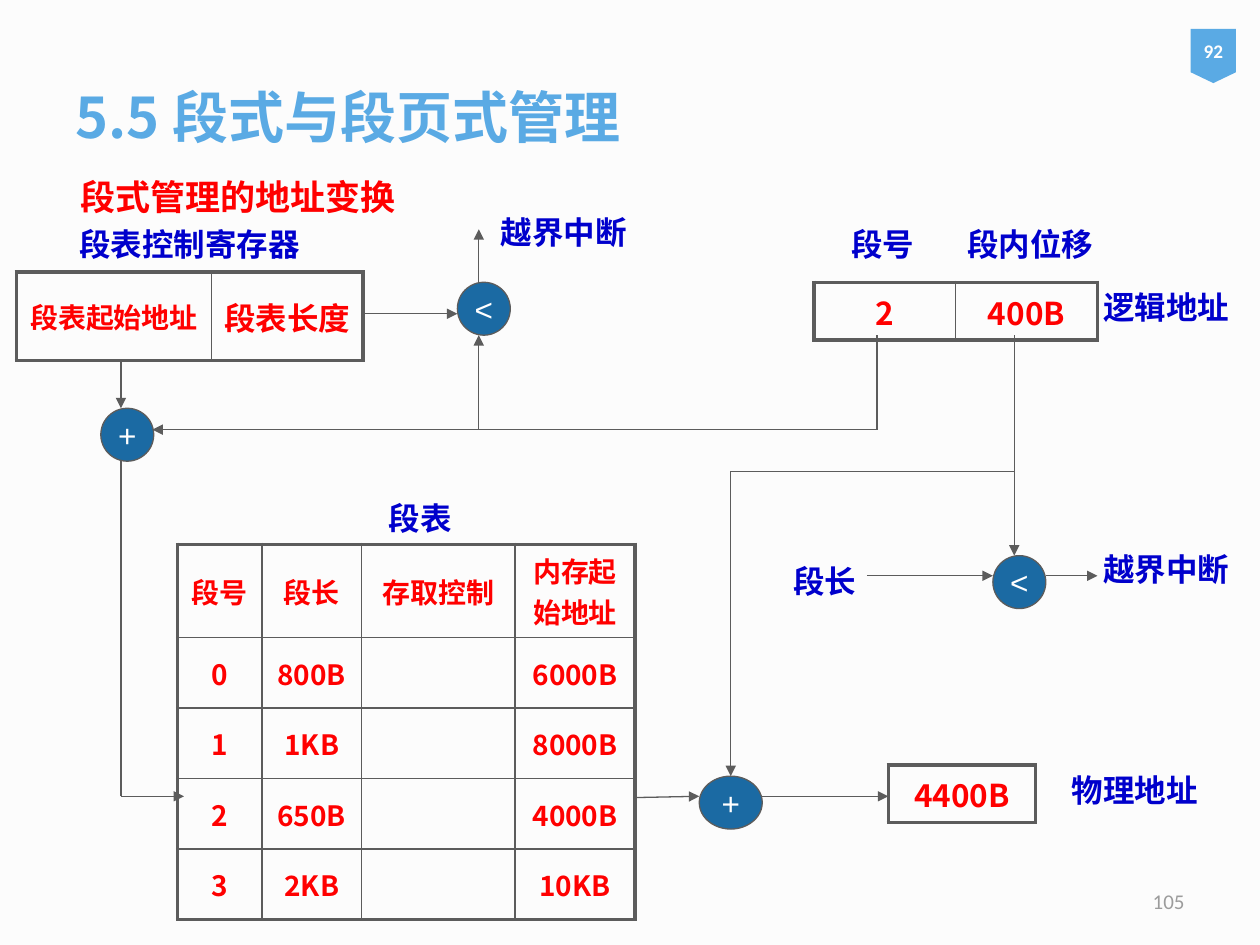
import pptx
import pptx.util
import pptx.dml.color
import pptx.enum.shapes
import pptx.enum.text
import pptx.oxml.ns
from lxml import etree

Inches = pptx.util.Inches
Pt = pptx.util.Pt
RGBColor = pptx.dml.color.RGBColor
SHAPE = pptx.enum.shapes.MSO_SHAPE
ALIGN = pptx.enum.text.PP_ALIGN
ANCHOR = pptx.enum.text.MSO_ANCHOR
AUTO_SIZE = pptx.enum.text.MSO_AUTO_SIZE
qn = pptx.oxml.ns.qn

PAPER = RGBColor(0xFC, 0xFC, 0xFC)
SKY = RGBColor(0x5A, 0xAA, 0xE4)
NODE = RGBColor(0x1B, 0x6A, 0xA3)
LINE = RGBColor(0x5C, 0x5C, 0x5C)
RED = RGBColor(0xFF, 0x00, 0x00)
BLUE = RGBColor(0x00, 0x00, 0xCC)
WHITE = RGBColor(0xFF, 0xFF, 0xFF)
GRAY = RGBColor(0x9C, 0x9C, 0x9C)
CJK = "Noto Sans CJK SC"


def write(frame, text, size, color, bold=True, font=CJK, align=ALIGN.CENTER):
    frame.text = text
    for paragraph in frame.paragraphs:
        paragraph.alignment = align
        for run in paragraph.runs:
            run.font.size = Pt(size)
            run.font.bold = bold
            run.font.color.rgb = color
            run.font.name = font
            latin = run.font._element.find(qn("a:latin"))
            east_asian = etree.Element(qn("a:ea"), typeface=font)
            latin.addnext(east_asian)


def add_text(slide, box, text, size, color, **style):
    shape = slide.shapes.add_textbox(*map(Inches, box))
    shape.text_frame.word_wrap = True
    write(shape.text_frame, text, size, color, **style)
    return shape.text_frame


def add_label(slide, left, top, width, text):
    frame = add_text(slide, (left, top, width, 0.4), text, 18, BLUE)
    frame.auto_size = AUTO_SIZE.SHAPE_TO_FIT_TEXT


def add_shape(slide, kind, box, fill):
    shape = slide.shapes.add_shape(kind, *map(Inches, box))
    shape.shadow.inherit = False
    shape.fill.solid()
    shape.fill.fore_color.rgb = fill
    shape.text_frame.vertical_anchor = ANCHOR.MIDDLE
    return shape


def add_operator(slide, left, top, width, symbol):
    shape = add_shape(slide, SHAPE.OVAL, (left, top, width, 0.42), NODE)
    shape.line.color.rgb = LINE
    shape.line.width = Pt(0.75)
    shape.text_frame.word_wrap = False
    write(shape.text_frame, symbol, 18, WHITE, bold=False, font="Arial")


def add_line(slide, start, end, arrow=True):
    connector = slide.shapes.add_connector(
        pptx.enum.shapes.MSO_CONNECTOR.STRAIGHT,
        *map(Inches, start + end))
    connector.line.color.rgb = LINE
    connector.line.width = Pt(0.75)
    if arrow:
        etree.SubElement(connector.line._get_or_add_ln(), qn("a:tailEnd"), type="triangle")
    etree.SubElement(connector._element.spPr, qn("a:effectLst"))


def set_border(cell, side, points):
    border = etree.SubElement(cell._tc.get_or_add_tcPr(), qn("a:ln" + side),
                              w=str(Pt(points)))
    fill = etree.SubElement(border, qn("a:solidFill"))
    etree.SubElement(fill, qn("a:srgbClr"), val=str(LINE))


def add_grid(slide, left, top, widths, heights, rows, sizes):
    """Table with a heavy frame, thin inner lines and one text size per column."""
    frame = slide.shapes.add_table(
        len(heights), len(widths), Inches(left), Inches(top),
        Inches(sum(widths)), Inches(sum(heights)))
    table = frame.table
    table.first_row = table.horz_banding = False
    for column, width in zip(table.columns, widths):
        column.width = Inches(width)
    for row, height in zip(table.rows, heights):
        row.height = Inches(height)
    last_row, last_column = len(heights) - 1, len(widths) - 1
    for i, values in enumerate(rows):
        for j, value in enumerate(values):
            cell = table.cell(i, j)
            outer = {"L": j == 0, "R": j == last_column,
                     "T": i == 0, "B": i == last_row}
            for side, heavy in outer.items():
                set_border(cell, side, 2.25 if heavy else 1)
            cell.fill.background()
            cell.vertical_anchor = ANCHOR.MIDDLE
            write(cell.text_frame, value, sizes[j], RED)


def add_headings(slide):
    title = slide.shapes.title
    title.left, title.top, title.width, title.height = map(Inches, (0.5, 0.3, 9, 1.25))
    title.text_frame.auto_size = AUTO_SIZE.NONE
    title.text_frame.vertical_anchor = ANCHOR.MIDDLE
    write(title.text_frame, "5.5 段式与段页式管理", 32, SKY, align=ALIGN.LEFT)

    subtitle = add_text(slide, (0.54, 1.18, 8.74, 0.75), "段式管理的地址变换",
                        20, RED, align=ALIGN.LEFT)
    subtitle.paragraphs[0].line_spacing = 1.5

    # Page badge and page number
    badge = add_shape(slide, SHAPE.FLOWCHART_OFFPAGE_CONNECTOR,
                      (9.45, 0.23, 0.36, 0.43), SKY)
    badge.line.fill.background()
    badge.text_frame.margin_left = badge.text_frame.margin_right = 0
    write(badge.text_frame, "92", 11, WHITE, font="Calibri")
    number = add_text(slide, (7.17, 6.95, 2.33, 0.4), "105", 12, GRAY,
                      bold=False, font="Calibri", align=ALIGN.RIGHT)
    number.vertical_anchor = ANCHOR.MIDDLE


def main():
    presentation = pptx.Presentation()
    presentation.slide_width, presentation.slide_height = Inches(10), Inches(7.5)
    slide = presentation.slides.add_slide(presentation.slide_layouts[5])
    slide.background.fill.solid()
    slide.background.fill.fore_color.rgb = PAPER
    add_headings(slide)

    # Register, logical address, segment table, physical address
    add_grid(slide, 0.13, 2.16, [1.55, 1.2], [0.7],
             [["段表起始地址", "段表长度"]], [16, 18])
    add_grid(slide, 6.46, 2.24, [1.125, 1.125], [0.46], [["2", "400B"]], [18, 18])
    add_grid(slide, 1.41, 4.32, [0.67, 0.79, 1.22, 0.95], [0.74] + [0.56] * 4,
             [["段号", "段长", "存取控制", "内存起始地址"],
              ["0", "800B", "", "6000B"],
              ["1", "1KB", "", "8000B"],
              ["2", "650B", "", "4000B"],
              ["3", "2KB", "", "10KB"]], [16] * 4)
    add_grid(slide, 7.05, 6.07, [1.17], [0.46], [["4400B"]], [18])

    # Adders and comparators
    for left, top, width, symbol in [
            (0.8, 3.24, 0.42, "+"), (3.63, 2.24, 0.42, "<"),
            (7.88, 4.41, 0.42, "<"), (5.55, 6.16, 0.5, "+")]:
        add_operator(slide, left, top, width, symbol)

    # Labels
    for left, top, width, text in [
            (0.13, 1.74, 2.75, "段表控制寄存器"), (2.71, 3.91, 1.25, "段表"),
            (6.63, 1.74, 0.75, "段号"), (7.55, 1.74, 1.25, "段内位移"),
            (8.63, 2.24, 1.25, "逻辑地址"), (8.38, 6.07, 1.25, "物理地址"),
            (8.63, 4.32, 1.25, "越界中断"), (6.13, 4.41, 0.83, "段长"),
            (3.85, 1.64, 1.25, "越界中断")]:
        add_label(slide, left, top, width, text)

    # Arrows
    for start, end in [
            ((6.05, 6.32), (7.05, 6.32)), ((5.04, 6.33), (5.55, 6.32)),
            ((8.05, 2.66), (8.05, 4.41)), ((5.8, 3.74), (5.8, 6.16)),
            ((0.96, 2.86), (0.96, 3.24)), ((6.96, 3.41), (1.21, 3.41)),
            ((0.96, 6.32), (1.46, 6.32)), ((6.88, 4.57), (7.88, 4.57)),
            ((8.3, 4.57), (8.71, 4.57)), ((3.8, 3.41), (3.8, 2.66)),
            ((3.8, 2.24), (3.8, 1.82)), ((2.88, 2.49), (3.63, 2.49))]:
        add_line(slide, start, end)

    # Plain segments that lead into the arrows
    for start, end in [
            ((5.8, 3.74), (8.05, 3.74)), ((6.96, 2.66), (6.96, 3.41)),
            ((0.96, 3.66), (0.96, 6.32))]:
        add_line(slide, start, end, arrow=False)

    presentation.save("out.pptx")


if __name__ == "__main__":
    main()
